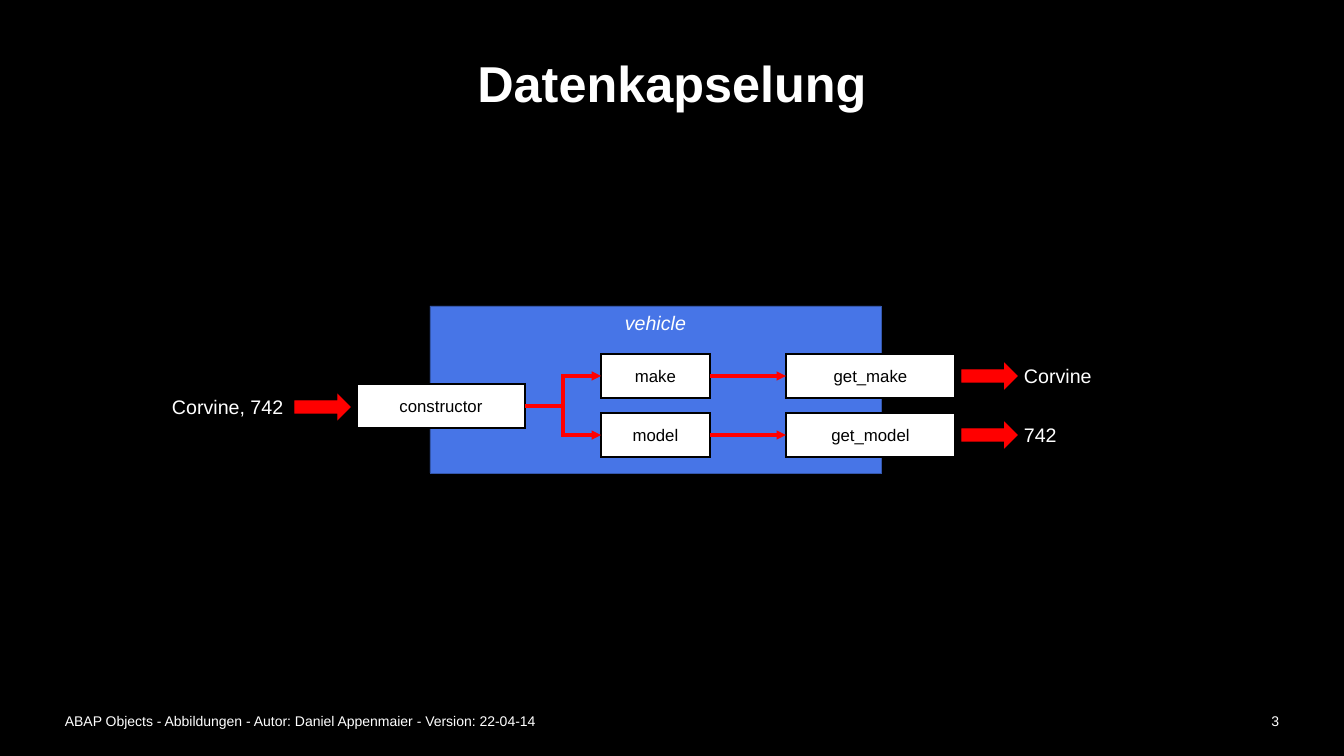
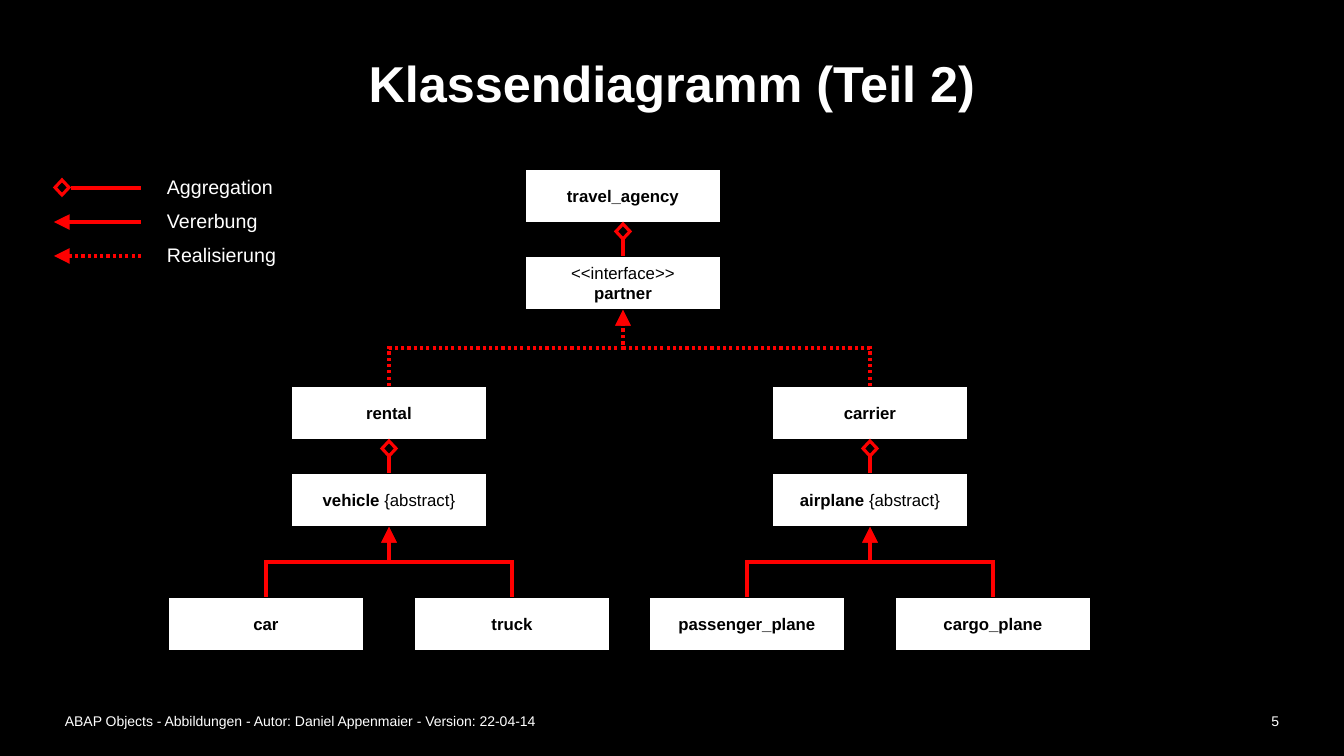
from lxml import etree
from pptx import Presentation
from pptx import util as u
from pptx.dml.color import RGBColor
from pptx.enum import dml, shapes, text
from pptx.oxml.ns import qn

HUES = {"black": "000000", "white": "FFFFFF", "red": "FF0000",
        "blue": "4775E7", "edge": "3557AB"}
FONT = "Arial"
SCALE = 914400 / 100.8
FOOTER = "ABAP Objects - Abbildungen - Autor: Daniel Appenmaier - Version: 22-04-14"

# Data encapsulation: field, getter, returned value and its label width
FIELDS = [("make", "get_make", "Corvine", 73),
          ("model", "get_model", "742", 33)]
INPUT = "Corvine, 742"

# Class diagram: centre, top, paragraphs of (text, bold) runs
BOX_W, BOX_H = 195, 54
ROOT, LEFT, RIGHT, LEAF = 623, 389, 870, 123
AGENCY, PARTNER, OWNER, BASE, KIND = 169, 256, 386, 473, 597
NODES = [
    (ROOT, AGENCY, [[("travel_agency", True)]]),
    (ROOT, PARTNER, [[("<<interface>>", False)], [("partner", True)]]),
    (LEFT, OWNER, [[("rental", True)]]),
    (RIGHT, OWNER, [[("carrier", True)]]),
    (LEFT, BASE, [[("vehicle ", True), ("{abstract}", False)]]),
    (RIGHT, BASE, [[("airplane ", True), ("{abstract}", False)]]),
    (LEFT - LEAF, KIND, [[("car", True)]]),
    (LEFT + LEAF, KIND, [[("truck", True)]]),
    (RIGHT - LEAF, KIND, [[("passenger_plane", True)]]),
    (RIGHT + LEAF, KIND, [[("cargo_plane", True)]]),
]
# Whole and part of each aggregation: centre, whole's top, part's top
PARTS = [(ROOT, AGENCY, PARTNER), (LEFT, OWNER, BASE), (RIGHT, OWNER, BASE)]
# Tree: parent centre, parent top, child centres, child top, dotted
TREES = [(ROOT, PARTNER, (LEFT, RIGHT), OWNER, True),
         (LEFT, BASE, (LEFT - LEAF, LEFT + LEAF), KIND, False),
         (RIGHT, BASE, (RIGHT - LEAF, RIGHT + LEAF), KIND, False)]
# Legend: label, width, line end, arrowhead size, dotted
LEGEND = [("Aggregation", 127, 71, None, False),
          ("Vererbung", 111, 54, "lg", False),
          ("Realisierung", 130, 54, "lg", True)]


def px(*vals):
    """Turn pixels into EMU."""
    return [u.Emu(round(v * SCALE)) for v in vals]


def hue(name):
    """Look up a colour."""
    return RGBColor.from_string(HUES[name])


def write(frame, paras, size, tone, align="LEFT", italic=False):
    """Fill a text frame with paragraphs of (text, bold) runs."""
    for i, runs in enumerate(paras):
        para = frame.add_paragraph() if i else frame.paragraphs[0]
        para.alignment = text.PP_ALIGN[align]
        for words, bold in runs:
            run = para.add_run()
            run.text = words
            font = run.font
            font.name, font.size = FONT, u.Pt(size)
            font.bold, font.italic = bold, italic
            font.color.rgb = hue(tone)


def stroke(form, tone, width, dots=False):
    """Set the outline with sharp corners and return its XML."""
    form.line.color.rgb = hue(tone)
    form.line.width = u.Pt(width)
    if dots:
        form.line.dash_style = dml.MSO_LINE.ROUND_DOT
    ln = form._element.spPr.find(qn("a:ln"))
    etree.SubElement(ln, qn("a:miter"), lim="800000")
    return ln


def shape(slide, kind, area, fill, edge, width=1):
    """Add a preset shape with a plain fill and outline."""
    form = slide.shapes.add_shape(shapes.MSO_SHAPE[kind], *px(*area))
    form.shadow.inherit = False
    if fill:
        form.fill.solid()
        form.fill.fore_color.rgb = hue(fill)
    else:
        form.fill.background()
    stroke(form, edge, width)
    return form


def box(slide, area, paras):
    """Add a white box with centred text."""
    form = shape(slide, "RECTANGLE", area, "white", "black")
    form.text_frame.vertical_anchor = text.MSO_ANCHOR.MIDDLE
    write(form.text_frame, paras, 12, "black", "CENTER")


def label(slide, area, words, inset=True):
    """Add a white one-line label that fits its text."""
    frame = slide.shapes.add_textbox(*px(*area)).text_frame
    frame.word_wrap = False
    frame.auto_size = text.MSO_AUTO_SIZE.SHAPE_TO_FIT_TEXT
    if not inset:
        frame.margin_left = frame.margin_right = 0
        frame.margin_top = frame.margin_bottom = 0
    write(frame, [[(words, False)]], 14, "white")


def foot(slide, area, words, align):
    """Add a piece of the footer line."""
    frame = slide.shapes.add_textbox(*px(*area)).text_frame
    frame.word_wrap = True
    frame.vertical_anchor = text.MSO_ANCHOR.MIDDLE
    write(frame, [[(words, False)]], 10, "white", align)


def link(slide, ends, kind="STRAIGHT", head="med", dots=False):
    """Add a red connector, with an arrowhead of the given size if any."""
    line = slide.shapes.add_connector(shapes.MSO_CONNECTOR[kind], *px(*ends))
    ln = stroke(line, "red", 2.25, dots)
    if head:
        etree.SubElement(ln, qn("a:tailEnd"), type="triangle", w=head, len=head)
    etree.SubElement(line._element.spPr, qn("a:effectLst"))
    return line


def rise(slide, x1, y1, x2, y2, dots):
    """Add an elbow that leaves and arrives vertically, turned by rotation."""
    side = 1 if x1 < x2 else -1
    midx, midy = (x1 + x2) / 2, (y1 + y2) / 2
    dx, dy = side * (y1 - y2) / 2, abs(x1 - x2) / 2
    line = link(slide, (midx + dx, midy + dy, midx - dx, midy - dy),
                "ELBOW", "lg", dots)
    turn = 90 if side > 0 else 270
    line._element.spPr.find(qn("a:xfrm")).set("rot", str(turn * 60000))


def gem(slide, midx, top):
    """Add the hollow diamond of an aggregation."""
    shape(slide, "FLOWCHART_DECISION", (midx - 7, top, 14, 15), None, "red", 2.25)


def page(deck, name, number):
    """Add a slide with title, footer and number."""
    slide = deck.slides.add_slide(deck.slide_layouts[5])
    title = slide.shapes.title
    title.left, title.top, title.width, title.height = px(55, 26, 1234, 121)
    title.text_frame.vertical_anchor = text.MSO_ANCHOR.MIDDLE
    write(title.text_frame, [[(name, True)]], 36, "white", "CENTER")
    title.text_frame.paragraphs[0].line_spacing = 0.9
    foot(slide, (55, 701, 1153, 40), FOOTER, "LEFT")
    foot(slide, (1208, 701, 81, 40), number, "RIGHT")
    return slide


def arrow(slide, left, midy):
    """Add a red block arrow."""
    shape(slide, "RIGHT_ARROW", (left, midy - 12, 55, 24), "red", "red")


def capsule(deck):
    """Build the data encapsulation slide."""
    slide = page(deck, "Datenkapselung", "3")
    body = shape(slide, "RECTANGLE", (430, 306, 451, 167), "blue", "edge", 0.5)
    body.text_frame.vertical_anchor = text.MSO_ANCHOR.TOP
    write(body.text_frame, [[("vehicle", False)]], 14, "white", "CENTER", True)
    high, start = 44, 406
    box(slide, (357, 384, 168, high), [[("constructor", False)]])
    arrow(slide, 295, start + 1)
    label(slide, (172, 395, 116, 24), INPUT, inset=False)
    for i, (field, getter, value, width) in enumerate(FIELDS):
        top = 354 + 59 * i
        mid = top + high / 2
        box(slide, (601, top, 109, high), [[(field, False)]])
        box(slide, (786, top, 169, high), [[(getter, False)]])
        link(slide, (525, start, 601, mid), "ELBOW")
        link(slide, (710, mid, 786, mid))
        arrow(slide, 962, mid)
        label(slide, (1024, mid - 12, width, 24), value, inset=False)


def classes(deck):
    """Build the class diagram slide."""
    slide = page(deck, "Klassendiagramm (Teil 2)", "5")
    for midx, top, paras in NODES:
        box(slide, (midx - BOX_W / 2, top, BOX_W, BOX_H), paras)
    for midx, whole, part in PARTS:
        tip = whole + BOX_H + 1
        link(slide, (midx, part, midx, tip + 15), head=None)
        gem(slide, midx, tip)
    for midx, top, kids, low, dots in TREES:
        for kid in kids:
            rise(slide, kid, low, midx, top + BOX_H, dots)
    for i, (words, width, end, head, dots) in enumerate(LEGEND):
        mid = 188 + 34 * i
        link(slide, (141, mid, end, mid), head=head, dots=dots)
        label(slide, (157, mid - 18, width, 34), words)
        if not head:
            gem(slide, 62, mid - 8)


def main():
    """Build and save the deck."""
    deck = Presentation()
    deck.slide_width, deck.slide_height = px(1344, 756)
    back = deck.slide_master.background.fill
    back.solid()
    back.fore_color.rgb = hue("black")
    capsule(deck)
    classes(deck)
    deck.save("out.pptx")


main()
